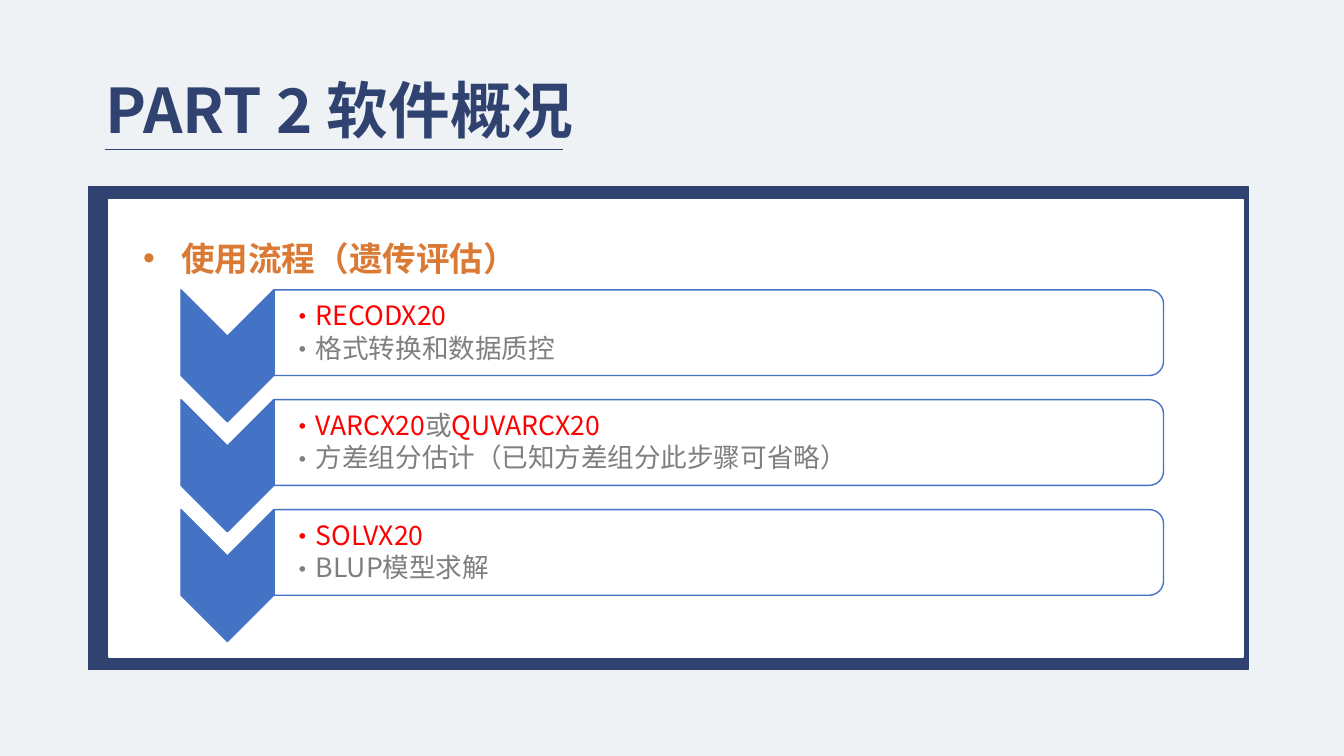
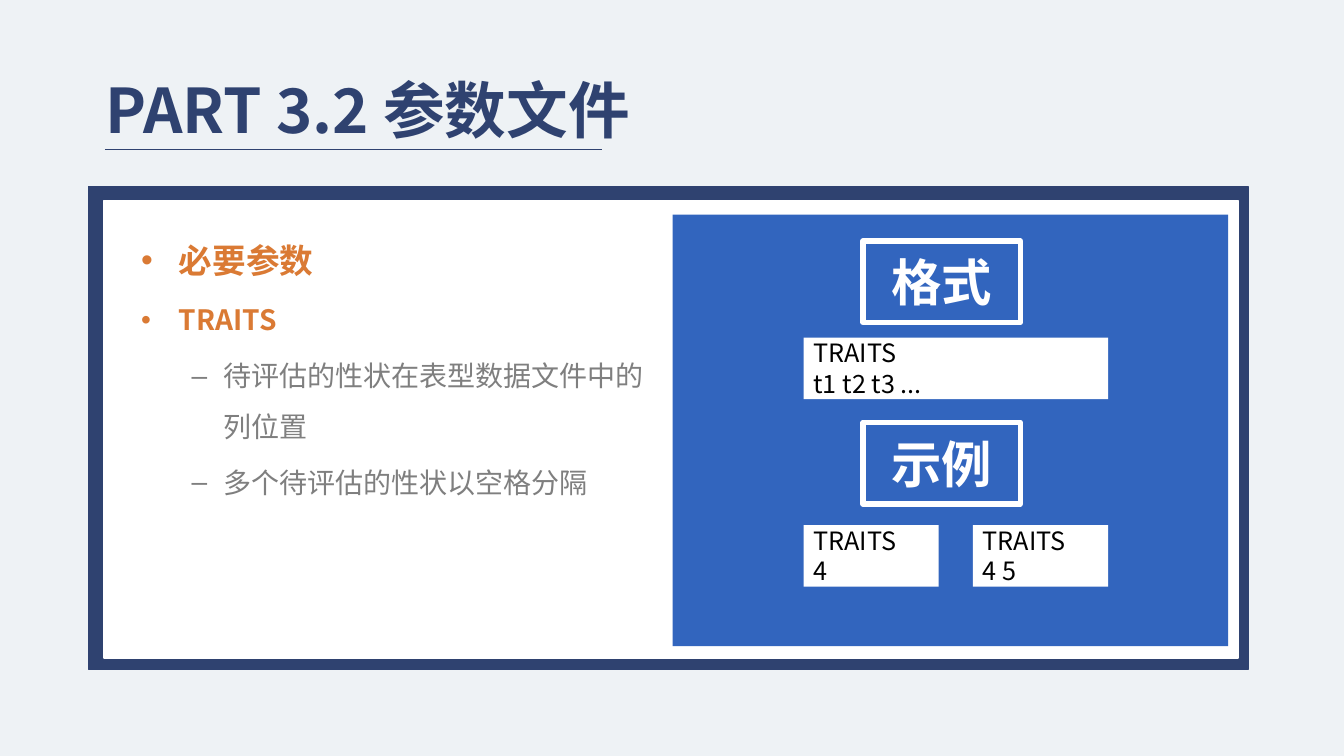
import lxml.etree
import pptx
import pptx.dml.color
import pptx.enum.shapes
import pptx.enum.text
import pptx.oxml.ns
import pptx.util

COLORS = {
    "paper": "EEF2F5", "navy": "2F4270", "white": "FFFFFF", "orange": "DA7A34",
    "gray": "7F7F7F", "red": "FF0000", "black": "000000", "step": "4472C4",
    "example": "3265BE",
}
FONT = "Noto Sans CJK SC"
STYLES = {
    "title": ("navy", 44, True),
    "heading": ("orange", 24, True),
    "keyword": ("orange", 20, True),
    "detail": ("gray", 20, False),
    "program": ("red", 19, False),
    "purpose": ("gray", 19, False),
    "label": ("white", 36, True),
    "code": ("black", 18, False),
}
COLORS = {name: pptx.dml.color.RGBColor.from_string(value) for name, value in COLORS.items()}
SHAPES = pptx.enum.shapes.MSO_SHAPE
ANCHOR = pptx.enum.text.MSO_ANCHOR
ALIGN = pptx.enum.text.PP_ALIGN
qn = pptx.oxml.ns.qn

presentation = pptx.Presentation()
presentation.slide_width = pptx.util.Inches(13.33)
presentation.slide_height = pptx.util.Inches(7.5)
CELL = presentation.slide_height / 90


def add_box(slide, kind, area, fill=None, line=None, weight=1, turned=False):
    left, top, width, height = area
    if turned:
        left, top = left + (width - height) / 2, top + (height - width) / 2
        width, height = height, width
    shape = slide.shapes.add_shape(kind, *[round(cells * CELL) for cells in (left, top, width, height)])
    shape.rotation = 90 if turned else 0
    shape.shadow.inherit = False
    for target, color in ((shape.fill, fill), (shape.line.fill, line)):
        if color:
            target.solid()
            target.fore_color.rgb = COLORS[color]
        else:
            target.background()
    if line:
        shape.line.width = pptx.util.Pt(weight)
    return shape


def write(frame, paragraphs, frame_format, paragraph_format):
    for name, value in frame_format.items():
        setattr(frame, name, value)
    for index, runs in enumerate(paragraphs):
        paragraph = frame.add_paragraph() if index else frame.paragraphs[0]
        for name, value in paragraph_format.items():
            setattr(paragraph, name, value)
        for text, style in runs:
            color, size, bold = STYLES[style]
            run = paragraph.add_run()
            run.text = text
            run.font.color.rgb = COLORS[color]
            for name, value in {"name": FONT, "size": pptx.util.Pt(size), "bold": bold}.items():
                setattr(run.font, name, value)
            east_asian = lxml.etree.SubElement(run.font._element, qn("a:ea"))
            east_asian.set("typeface", FONT)


background = presentation.slide_master.background.fill
background.solid()
background.fore_color.rgb = COLORS["paper"]

pages = [
    {
        "title": "PART 2 软件概况",
        "rule_end": 66.96,
        "panel": (12.96, 23.76, 135, 54.48),
        "body": (15.84, 25.32, 126.96, 7.68),
        "items": [("使用流程（遗传评估）", "heading", 0)],
    },
    {
        "title": "PART 3.2 参数文件",
        "rule_end": 71.64,
        "panel": (12.36, 23.88, 135, 54.48),
        "body": (15.6, 25.56, 64.32, 34.44),
        "items": [
            ("必要参数", "heading", 0),
            ("TRAITS", "keyword", 0),
            ("待评估的性状在表型数据文件中的列位置", "detail", 1),
            ("多个待评估的性状以空格分隔", "detail", 1),
        ],
    },
]

slides = []
for page in pages:
    slide = presentation.slides.add_slide(presentation.slide_layouts[1])
    slides.append(slide)
    frame = add_box(slide, SHAPES.RECTANGLE, (10.56, 22.2, 138, 57.48), "navy", "navy")
    panel = add_box(slide, SHAPES.RECTANGLE, page["panel"], "white", "white")
    for index, shape in enumerate((frame, panel)):
        slide.shapes._spTree.insert(2 + index, shape._element)

    title, body = slide.placeholders
    for placeholder, area in ((title, (11.4, 4.8, 138, 17.4)), (body, page["body"])):
        for name, cells in zip(("left", "top", "width", "height"), area):
            setattr(placeholder, name, round(cells * CELL))
        placeholder.text_frame.auto_size = pptx.enum.text.MSO_AUTO_SIZE.NONE
    write(title.text_frame, [[(page["title"], "title")]],
          {"vertical_anchor": ANCHOR.MIDDLE}, {"alignment": ALIGN.LEFT, "line_spacing": 0.9})
    write(body.text_frame, [[(text, style)] for text, style, level in page["items"]],
          {"vertical_anchor": ANCHOR.TOP}, {"line_spacing": 1.5})
    for paragraph, item in zip(body.text_frame.paragraphs, page["items"]):
        paragraph.level = item[2]

    rule = slide.shapes.add_connector(
        pptx.enum.shapes.MSO_CONNECTOR.STRAIGHT,
        *[round(cells * CELL) for cells in (12.48, 17.76, page["rule_end"], 17.76)])
    rule.line.color.rgb = COLORS["navy"]
    rule.line.width = pptx.util.Pt(0.75)
    lxml.etree.SubElement(rule._element.spPr, qn("a:effectLst"))

process_slide, parameter_slide = slides

steps = [
    [[("RECODX20", "program")], [("格式转换和数据质控", "purpose")]],
    [[("VARCX20", "program"), ("或", "purpose"), ("QUVARCX20", "program")],
     [("方差组分估计（已知方差组分此步骤可省略）", "purpose")]],
    [[("SOLVX20", "program")], [("BLUP模型求解", "purpose")]],
]
STEP_INDENT = pptx.util.Inches(0.19)
STEP_FRAME = {
    "word_wrap": True, "vertical_anchor": ANCHOR.MIDDLE,
    "margin_left": pptx.util.Inches(0.15), "margin_right": pptx.util.Inches(0.01),
    "margin_top": pptx.util.Inches(0.01), "margin_bottom": pptx.util.Inches(0.01),
}
for row, step in enumerate(steps):
    top = 34.5 + row * 13.08
    add_box(process_slide, SHAPES.CHEVRON, (21.54, top, 11.04, 15.72),
            "step", "step", turned=True)
    add_box(process_slide, SHAPES.ROUND_2_SAME_RECTANGLE, (32.64, top, 105.84, 10.2),
            "white", "step", turned=True)
    text_box = process_slide.shapes.add_textbox(
        *[round(cells * CELL) for cells in (32.64, top + 0.54, 105.36, 9.24)])
    write(text_box.text_frame, step, STEP_FRAME,
          {"line_spacing": 0.9, "space_after": pptx.util.Pt(2.85)})
    for paragraph in text_box.text_frame.paragraphs:
        properties = paragraph._p.get_or_add_pPr()
        properties.set("marL", str(STEP_INDENT))
        properties.set("indent", str(-STEP_INDENT))
        lxml.etree.SubElement(properties, qn("a:buFont")).set("typeface", FONT)
        lxml.etree.SubElement(properties, qn("a:buChar")).set("char", "•")

add_box(parameter_slide, SHAPES.RECTANGLE, (80.04, 25.56, 66.12, 51.36), "example")

NO_MARGINS = dict.fromkeys(("margin_left", "margin_right", "margin_top", "margin_bottom"), 0)
for label, top in (("格式", 28.68), ("示例", 50.28)):
    label_box = add_box(parameter_slide, SHAPES.RECTANGLE, (102.72, top, 18.72, 9.72),
                        line="white", weight=3.78)
    write(label_box.text_frame, [[(label, "label")]],
          {**NO_MARGINS, "vertical_anchor": ANCHOR.MIDDLE}, {"alignment": ALIGN.CENTER})

for left, top, width, values in (
    (95.64, 40.2, 36.24, "t1 t2 t3 ..."),
    (95.64, 62.52, 16.08, "4"),
    (115.8, 62.52, 16.08, "4 5"),
):
    code_box = add_box(parameter_slide, SHAPES.RECTANGLE, (left, top, width, 7.32), "white")
    write(code_box.text_frame, [[("TRAITS", "code")], [(values, "code")]],
          {**NO_MARGINS, "margin_left": pptx.util.Inches(0.1), "vertical_anchor": ANCHOR.TOP},
          {"alignment": ALIGN.LEFT})

presentation.save("out.pptx")
